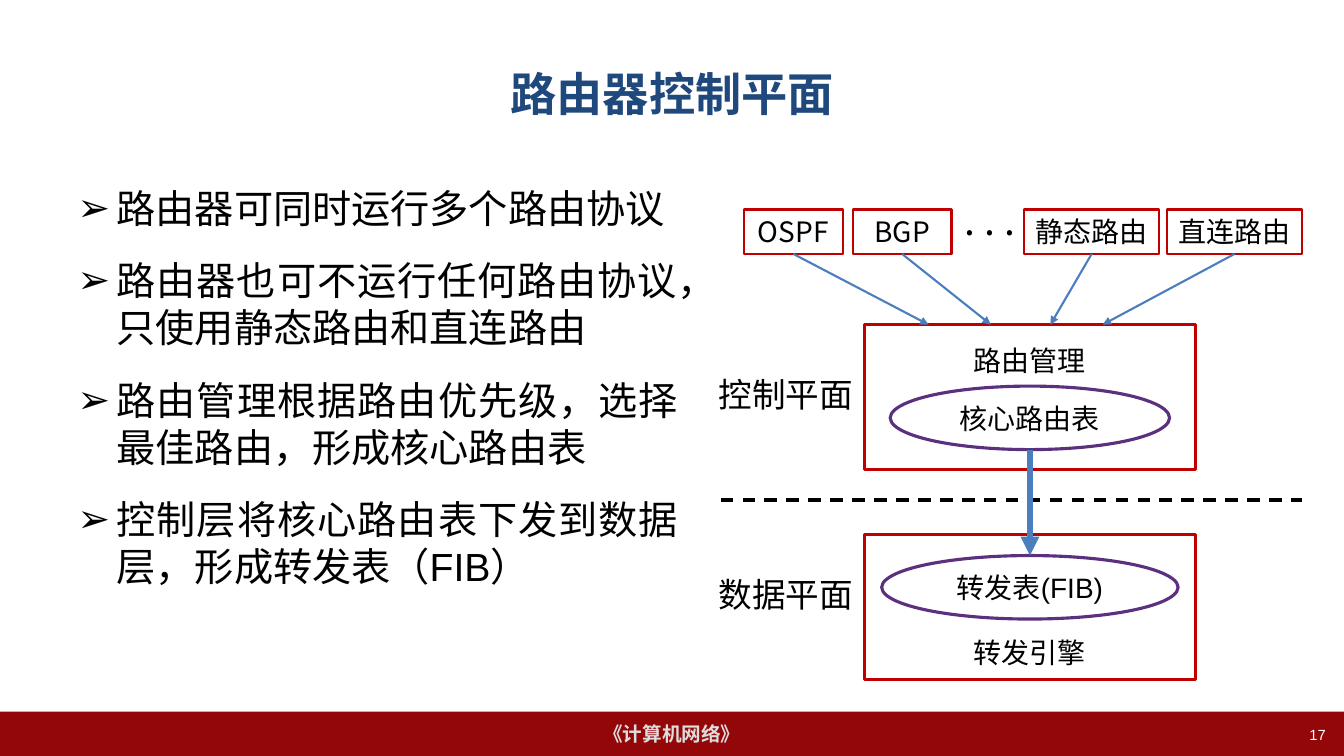
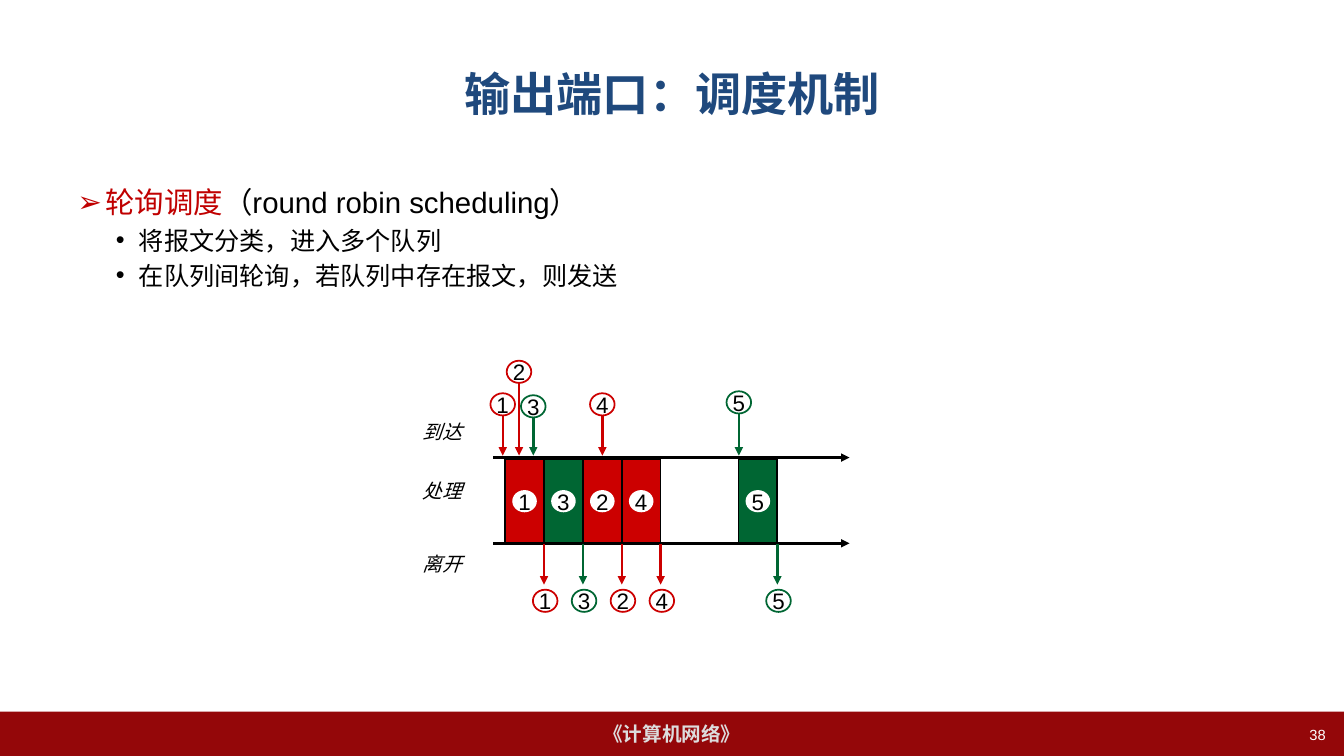
"""Build two slides on router control planes and round robin scheduling."""
import pptx
import pptx.util
import pptx.dml.color
import pptx.enum.dml
import pptx.enum.shapes
import pptx.enum.text
import pptx.oxml
import pptx.oxml.ns

Cm, Pt = pptx.util.Cm, pptx.util.Pt
SHAPE = pptx.enum.shapes.MSO_SHAPE
ALIGN = pptx.enum.text.PP_ALIGN
MIDDLE = pptx.enum.text.MSO_ANCHOR.MIDDLE
TOP = pptx.enum.text.MSO_ANCHOR.TOP

SLIDE_W, SLIDE_H = 33.87, 19.05
BAND_H = 1.12
CJK = "Noto Sans CJK SC"
BLACK, WHITE = "000000", "FFFFFF"
DARK_RED, BLUE, PURPLE = "C00000", "4B7EBC", "5B307E"
RED, GREEN = "CC0000", "006633"

TITLE = {"size": Pt(33), "name": "Arial", "bold": True}
FOOTER = {"size": Pt(14), "name": "Arial", "bold": True}
PAGE = {"size": Pt(10.5), "name": "Arial"}
BOX = {"size": Pt(20), "name": CJK}
TABLE = {"size": Pt(20), "name": "Arial"}
PLANE = {"size": Pt(24), "name": CJK}
DOTS = {"size": Pt(28), "name": CJK}
DIGIT = {"size": Pt(16), "name": "Arial"}
STAGE = {"size": Pt(14), "name": "Arial", "italic": True}

POINT = {"size": 28, "indent": 0.99, "hang": 0.99, "before": 18,
         "bullet": "➢", "align": ALIGN.JUSTIFY}
HEAD = {"size": 21, "indent": 0.71, "hang": 0.71, "before": 10.5,
        "bullet": "➢", "align": ALIGN.LEFT}
SUB = {"size": 18, "indent": 1.55, "hang": 0.58, "before": 3.6,
       "bullet": "•", "align": ALIGN.LEFT}

CONTROL_POINTS = [
    (POINT, [(text, BLACK)]) for text in (
        "路由器可同时运行多个路由协议",
        "路由器也可不运行任何路由协议，只使用静态路由和直连路由",
        "路由管理根据路由优先级，选择最佳路由，形成核心路由表",
        "控制层将核心路由表下发到数据层，形成转发表（FIB）")]
SCHEDULING_POINTS = [
    (HEAD, [("轮询调度", DARK_RED), ("（round robin scheduling）", BLACK)]),
    (SUB, [("将报文分类，进入多个队列", BLACK)]),
    (SUB, [("在队列间轮询，若队列中存在报文，则发送", BLACK)])]

# name, left, width, arrow tip
SOURCES = [("OSPF", 18.75, 2.49, 23.4), ("BGP", 21.49, 2.49, 24.97),
           ("静态路由", 25.81, 3.4, 26.47), ("直连路由", 29.41, 3.4, 27.79)]
PLANES = [
    {"plane": "控制平面", "plane_y": 9.93, "top": 8.18, "part": "路由管理",
     "part_y": 9.07, "table": "核心路由表", "table_y": 10.53, "table_w": 7.04},
    {"plane": "数据平面", "plane_y": 14.98, "top": 13.46, "part": "转发引擎",
     "part_y": 16.43, "table": "转发表(FIB)", "table_y": 14.8, "table_w": 7.47}]
STAGES = [("到达", 10.87), ("处理", 12.36), ("离开", 14.2)]
PACKETS = [
    {"label": "1", "color": RED, "slot": 0, "arrival": (12.67, 10.19)},
    {"label": "2", "color": RED, "slot": 2, "arrival": (13.08, 9.37)},
    {"label": "3", "color": GREEN, "slot": 1, "arrival": (13.44, 10.24)},
    {"label": "4", "color": RED, "slot": 3, "arrival": (15.18, 10.19)},
    {"label": "5", "color": GREEN, "slot": 6, "arrival": (18.62, 10.14)}]


def rgb(color):
    return pptx.dml.color.RGBColor.from_string(color)


def add_xml(parent, tag, **attrs):
    el = pptx.oxml.parse_xml(f"<a:{tag} {pptx.oxml.ns.nsdecls('a')}/>")
    for key, value in attrs.items():
        el.set(key, value)
    parent.append(el)


def add_run(p, text, color, font):
    r = p.add_run()
    r.text = text
    for key, value in font.items():
        setattr(r.font, key, value)
    r.font.color.rgb = rgb(color)
    add_xml(r.font._element, "ea", typeface=CJK)


def set_frame(tf, anchor=MIDDLE, wrap=True):
    frame = {"margin_left": 0, "margin_right": 0, "margin_top": 0,
             "margin_bottom": 0, "vertical_anchor": anchor, "word_wrap": wrap}
    for key, value in frame.items():
        setattr(tf, key, value)


def put_text(sp, text, font, color=BLACK, align=ALIGN.CENTER, wrap=False):
    set_frame(sp.text_frame, wrap=wrap)
    p = sp.text_frame.paragraphs[0]
    p.alignment = align
    add_run(p, text, color, font)


def add_label(s, x, y, w, h, text, font, **style):
    sp = s.shapes.add_textbox(Cm(x), Cm(y), Cm(w), Cm(h))
    put_text(sp, text, font, **style)


def add_box(s, kind, x, y, w, h, fill=None, line=None, width=1.5):
    sp = s.shapes.add_shape(kind, Cm(x), Cm(y), Cm(w), Cm(h))
    sp.shadow.inherit = False
    if fill:
        sp.fill.solid()
        sp.fill.fore_color.rgb = rgb(fill)
    else:
        sp.fill.background()
    if line:
        sp.line.color.rgb = rgb(line)
        sp.line.width = Pt(width)
    else:
        sp.line.fill.background()
    return sp


def add_line(s, x1, y1, x2, y2, color, width, dash=None, arrow=True):
    cx = s.shapes.add_connector(pptx.enum.shapes.MSO_CONNECTOR.STRAIGHT,
                                Cm(x1), Cm(y1), Cm(x2), Cm(y2))
    cx.line.color.rgb = rgb(color)
    cx.line.width = Pt(width)
    if dash:
        cx.line.dash_style = dash
    if arrow:
        add_xml(cx.line._get_or_add_ln(), "tailEnd", type="triangle")
    add_xml(cx._element.spPr, "effectLst")
    return cx


def add_body(s, width, points):
    sp = s.shapes.add_textbox(Cm(1.95), Cm(4.65), Cm(width), Cm(12.3))
    tf = sp.text_frame
    set_frame(tf, anchor=TOP)
    for i, (style, runs) in enumerate(points):
        p = tf.add_paragraph() if i else tf.paragraphs[0]
        p.alignment = style["align"]
        p.space_before = Pt(style["before"])
        p.line_spacing = Pt(style["size"] * 1.2)
        pPr = p._p.get_or_add_pPr()
        pPr.set("marL", str(Cm(style["indent"])))
        pPr.set("indent", str(-Cm(style["hang"])))
        add_xml(pPr, "buFont", typeface="Arial")
        add_xml(pPr, "buChar", char=style["bullet"])
        for text, color in runs:
            add_run(p, text, color, {"size": Pt(style["size"]), "name": "Arial"})


def add_slide(prs, title, page):
    s = prs.slides.add_slide(prs.slide_layouts[5])
    top = SLIDE_H - BAND_H
    band = add_box(s, SHAPE.RECTANGLE, 0, top, SLIDE_W, BAND_H, fill="940709")
    put_text(band, "《计算机网络》", FOOTER, color="DDDDDD")
    sp = s.shapes.title
    place = {"left": Cm(1.7), "top": Cm(0.76), "width": Cm(30.48), "height": Cm(3.18)}
    for key, value in place.items():
        setattr(sp, key, value)
    put_text(sp, title, TITLE, color="1F497D", wrap=True)
    add_label(s, 25.78, 18.16, 7.63, 0.7, page, PAGE, color=WHITE,
              align=ALIGN.RIGHT, wrap=True)
    return s


def build_control_plane(prs):
    s = add_slide(prs, "路由器控制平面", "17")
    add_body(s, 15.14, CONTROL_POINTS)
    left, width, height, table_h = 21.79, 8.33, 3.66, 1.6
    mid = left + width / 2
    tables = []
    for d in PLANES:
        add_box(s, SHAPE.RECTANGLE, left, d["top"], width, height,
                line=DARK_RED, width=2.25)
        add_label(s, left, d["part_y"] - 0.56, width, 1.12, d["part"], BOX)
        add_label(s, 17.8, d["plane_y"] - 0.64, 4, 1.28, d["plane"], PLANE)
        table = add_box(s, SHAPE.OVAL, mid - d["table_w"] / 2,
                        d["table_y"] - table_h / 2, d["table_w"], table_h,
                        fill=WHITE, line=PURPLE, width=2.25)
        put_text(table, d["table"], TABLE)
        tables.append(table)
    add_line(s, 18.16, 12.6, 32.82, 12.6, BLACK, 2.25, arrow=False,
             dash=pptx.enum.dml.MSO_LINE.DASH)
    down = add_line(s, mid, PLANES[0]["table_y"] + table_h / 2,
                    mid, PLANES[1]["table_y"] - table_h / 2, BLUE, 4.5)
    down.end_connect(tables[1], 0)
    for name, x, w, tip in SOURCES:
        box = add_box(s, SHAPE.RECTANGLE, x, 5.28, w, 1.12, fill=WHITE, line=DARK_RED)
        put_text(box, name, BOX)
        cx = add_line(s, x + w / 2, 6.4, tip, PLANES[0]["top"], BLUE, 1.5)
        cx.begin_connect(box, 2)
    add_label(s, 23.16, 4.81, 3.58, 1.45, ". . .", DOTS)


def add_packet(s, x, y, label, line=None):
    w, h = 0.62, 0.56
    sp = add_box(s, SHAPE.OVAL, x - w / 2, y - h / 2, w, h,
                 fill=WHITE, line=line, width=1.25)
    put_text(sp, label, DIGIT)


def build_scheduling(prs):
    s = add_slide(prs, "输出端口：调度机制", "38")
    add_body(s, 29.97, SCHEDULING_POINTS)
    arrive_y, leave_y, start, pitch = 11.53, 13.69, 12.73, 0.98
    for y in (arrive_y, leave_y):
        add_line(s, 12.43, y, 21.41, y, BLACK, 2)
    for text, y in STAGES:
        add_label(s, 9.95, y - 0.43, 2.4, 0.86, text, STAGE)
    for d in PACKETS:
        label, color = d["label"], d["color"]
        x = start + d["slot"] * pitch
        end = x + pitch
        add_box(s, SHAPE.RECTANGLE, x, arrive_y + 0.03, pitch, 2.11,
                fill=color, line=BLACK, width=1.25)
        add_packet(s, x + pitch / 2, (arrive_y + leave_y) / 2 + 0.02, label)
        ax, ay = d["arrival"]
        add_line(s, ax, ay + 0.28, ax, arrive_y - 0.05, color, 1.75)
        add_packet(s, ax, ay, label, color)
        add_line(s, end, leave_y + 0.03, end, 14.73, color, 1.75)
        add_packet(s, end + 0.03, 15.14, label, color)


def main():
    prs = pptx.Presentation()
    prs.slide_width, prs.slide_height = Cm(SLIDE_W), Cm(SLIDE_H)
    build_control_plane(prs)
    build_scheduling(prs)
    prs.save("out.pptx")


if __name__ == "__main__":
    main()
